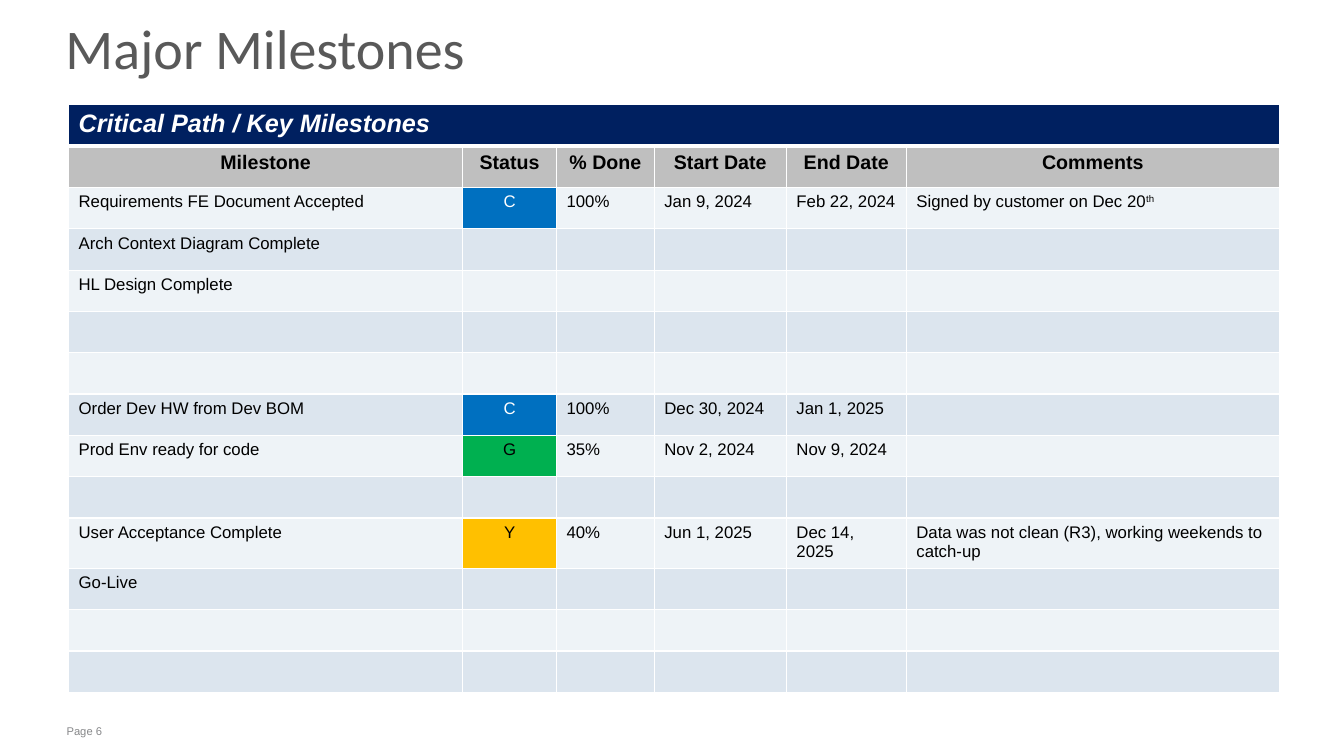
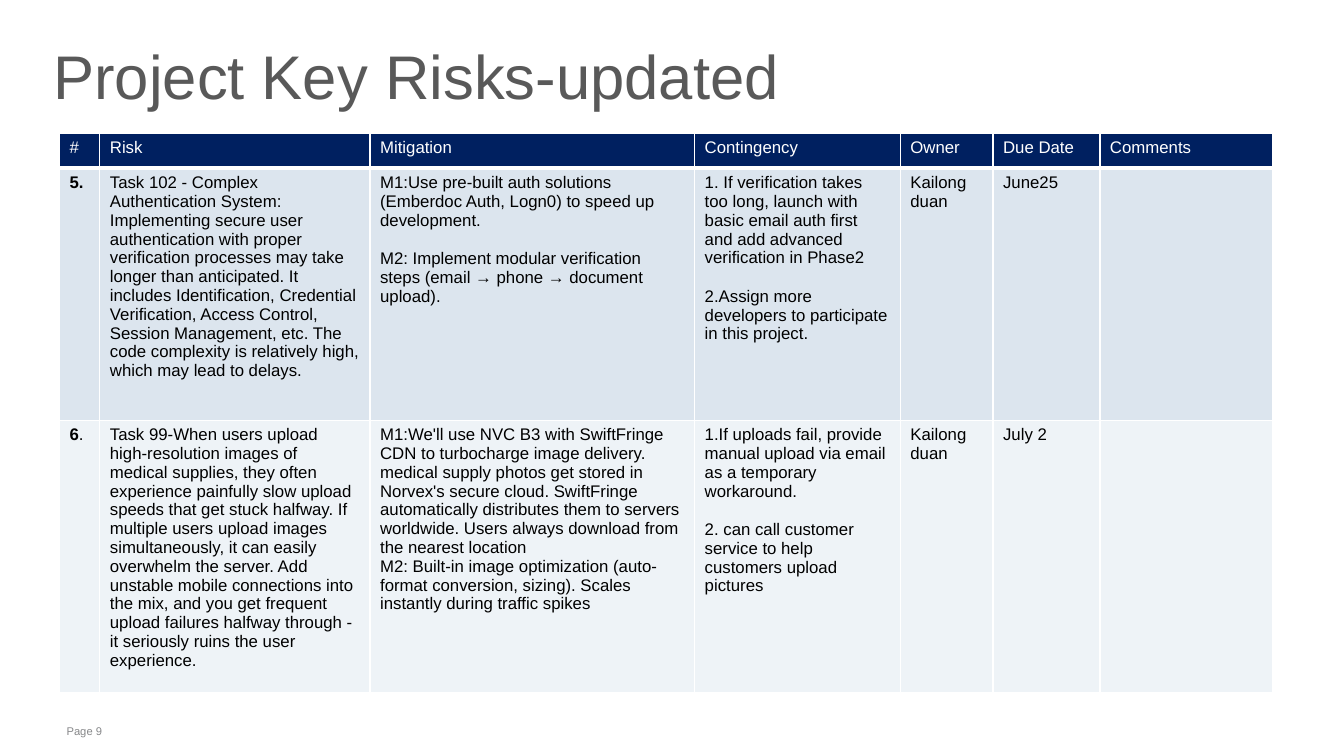
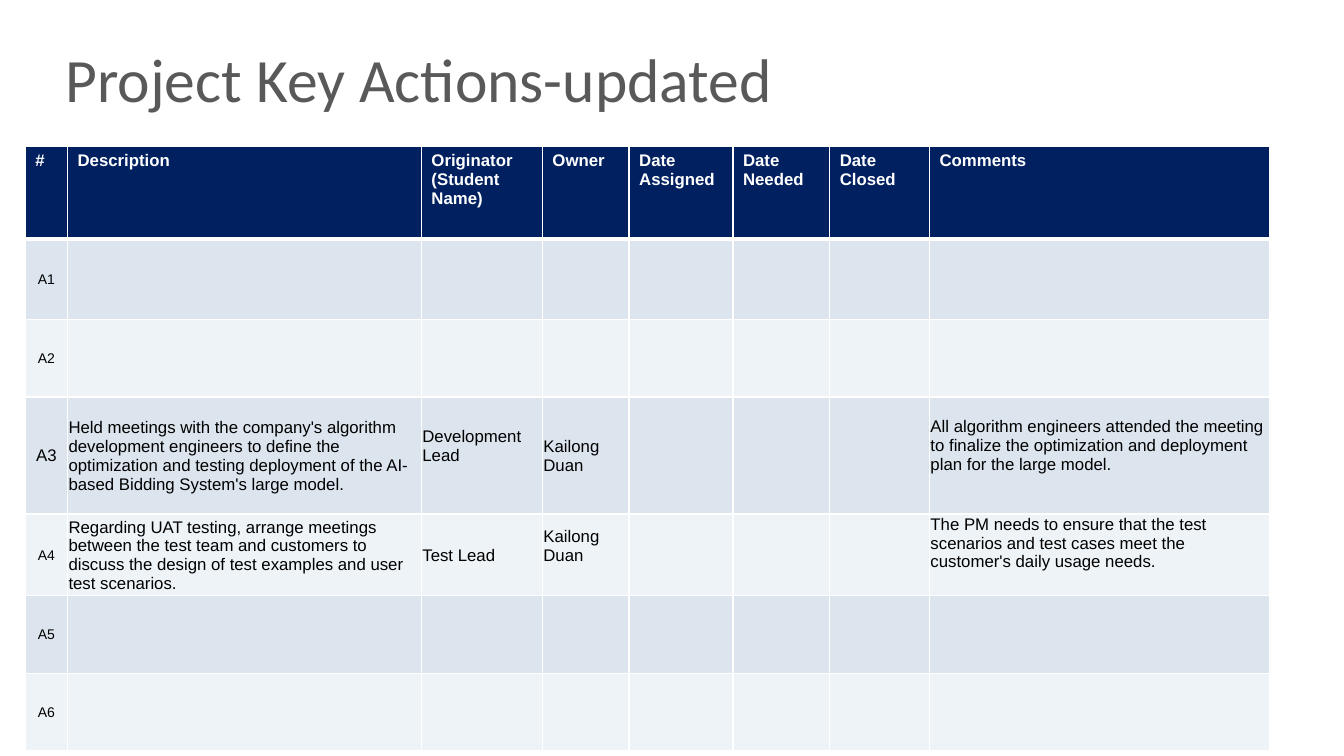
import dataclasses

import lxml.etree
import pptx
import pptx.dml.color
import pptx.enum.text
import pptx.oxml.ns
import pptx.util

Inches = pptx.util.Inches
Pt = pptx.util.Pt
Align = pptx.enum.text.PP_ALIGN
Anchor = pptx.enum.text.MSO_ANCHOR


@dataclasses.dataclass(frozen=True)
class Theme:
    navy: str = "002060"
    grey: str = "BFBFBF"
    bands: tuple = ("DCE5EE", "EEF3F7")
    white: str = "FFFFFF"
    black: str = "000000"
    head: str = "595959"
    foot: str = "87888A"
    blue: str = "0070C0"
    green: str = "00B050"
    amber: str = "FFC000"
    sans: str = "Arial"
    face: str = "Calibri"
    big: int = 44
    title: int = 40
    band: int = 18
    label: int = 14
    body: int = 12
    small: int = 10
    tiny: int = 8
    gap: int = 14


class Deck:
    def __init__(self, theme):
        self.theme = theme
        self.show = pptx.Presentation()
        self.show.slide_width = Inches(13.33)
        self.show.slide_height = Inches(7.5)
        self.slide = None

    def page(self):
        self.slide = self.show.slides.add_slide(self.show.slide_layouts[6])

    def style(self, frame, size, color, bold=False, face=None, align=None):
        for para in frame.paragraphs:
            if align is not None:
                para.alignment = align
            for run in para.runs:
                font = run.font
                font.name = face or self.theme.sans
                font.size = Pt(size)
                font.bold = bold
                font.color.rgb = pptx.dml.color.RGBColor.from_string(color)

    def text(self, words, at, size, color, face=None, pads=(0.1, 0.05)):
        box = self.slide.shapes.add_textbox(*map(Inches, at))
        frame = box.text_frame
        frame.word_wrap = True
        frame.margin_left = frame.margin_right = Inches(pads[0])
        frame.margin_top = frame.margin_bottom = Inches(pads[1])
        frame.text = words
        self.style(frame, size, color, face=face)
        return frame

    def title(self, words, at, size):
        frame = self.text(words, at, size, self.theme.head,
                          self.theme.face, (0.08, 0))
        frame.vertical_anchor = Anchor.MIDDLE
        frame.paragraphs[0].line_spacing = 0.75

    def footer(self, number):
        self.text(f"Page {number}", (0.58, 7.14, 10.79, 0.24),
                  self.theme.tiny, self.theme.foot, pads=(0.08, 0.05))

    def table(self, left, top, cols, rows, data):
        """Add a table with a navy first row and banded rows under it."""
        grid = self.slide.shapes.add_table(
            len(rows), len(cols), Inches(left), Inches(top),
            Inches(sum(cols)), Inches(sum(rows))).table
        for col, width in zip(grid.columns, cols):
            col.width = Inches(width)
        for row, height in zip(grid.rows, rows):
            row.height = Inches(height)
        for r, row in enumerate(grid.rows):
            words = data[r] if r < len(data) else ()
            for c, cell in enumerate(row.cells):
                cell.text_frame.text = words[c] if c < len(words) else ""
                tint = self.theme.bands[(r + 1) % 2] if r else self.theme.navy
                ink = self.theme.black if r else self.theme.white
                self.style(cell.text_frame, self.theme.body, ink)
                self.fill(cell, tint)
                self.edge(cell, top=3 if r == 1 else 1, base=1 if r else 3)
        return grid

    def fill(self, cell, color):
        cell.fill.solid()
        cell.fill.fore_color.rgb = pptx.dml.color.RGBColor.from_string(color)

    def edge(self, cell, top, base):
        """Draw white borders; top and base are widths in points."""
        qn = pptx.oxml.ns.qn
        props = cell._tc.get_or_add_tcPr()
        sides = (("L", 1), ("R", 1), ("T", top), ("B", base))
        for spot, (side, width) in enumerate(sides):
            line = lxml.etree.Element(qn(f"a:ln{side}"), w=str(Pt(width)))
            solid = lxml.etree.SubElement(line, qn("a:solidFill"))
            lxml.etree.SubElement(solid, qn("a:srgbClr"), val=self.theme.white)
            props.insert(spot, line)


def milestones(deck):
    theme = deck.theme
    deck.page()
    deck.footer(6)
    deck.title("Major Milestones", (0.57, 0.16, 11.76, 0.75), theme.title)
    data = (
        ("Critical Path / Key Milestones",),
        ("Milestone", "Status", "% Done", "Start Date", "End Date", "Comments"),
        ("Requirements FE Document Accepted", "C", "100%", "Jan 9, 2024",
         "Feb 22, 2024", "Signed by customer on Dec 20"),
        ("Arch Context Diagram Complete",),
        ("HL Design Complete",),
        (),
        (),
        ("Order Dev HW from Dev BOM", "C", "100%", "Dec 30, 2024",
         "Jan 1, 2025"),
        ("Prod Env ready for code", "G", "35%", "Nov 2, 2024", "Nov 9, 2024"),
        (),
        ("User Acceptance Complete", "Y", "40%", "Jun 1, 2025",
         "Dec 14, 2025", "Data was not clean (R3), working weekends to catch-up"),
        ("Go-Live",),
    )
    rows = [0.41] * 14
    rows[10] = 0.48
    grid = deck.table(0.68, 1.04, (3.91, 0.93, 0.97, 1.31, 1.19, 3.7),
                      rows, data)
    banner = grid.cell(0, 0)
    banner.merge(grid.cell(0, 5))
    deck.style(banner.text_frame, theme.band, theme.white, True)
    banner.text_frame.paragraphs[0].runs[0].font.italic = True
    for cell in grid.rows[1].cells:
        deck.fill(cell, theme.grey)
        deck.style(cell.text_frame, theme.label, theme.black, True,
                   align=Align.CENTER)
    marks = {"C": (theme.blue, theme.white), "G": (theme.green, theme.black),
             "Y": (theme.amber, theme.black)}
    for r in range(2, len(rows)):
        cell = grid.cell(r, 1)
        if cell.text_frame.text in marks:
            tint, ink = marks[cell.text_frame.text]
            deck.fill(cell, tint)
            deck.style(cell.text_frame, theme.body, ink, align=Align.CENTER)
    note = grid.cell(2, 5).text_frame
    power = note.paragraphs[0].add_run()
    power.text = "th"
    deck.style(note, theme.body, theme.black)
    power._r.get_or_add_rPr().set("baseline", "30000")


def risks(deck):
    theme = deck.theme
    deck.page()
    deck.footer(9)
    deck.text("Project Key Risks-updated", (0.43, 0.33, 11.68, 0.84),
              theme.big, theme.head)
    data = (
        ("#", "Risk", "Mitigation", "Contingency", "Owner", "Due Date",
         "Comments"),
        ("5.",
         "Task 102 - Complex Authentication System: Implementing secure user "
         "authentication with proper verification processes may take longer "
         "than anticipated. It includes Identification, Credential "
         "Verification, Access Control, Session Management, etc. The code "
         "complexity is relatively high, which may lead to delays.",
         "M1:Use pre-built auth solutions (Emberdoc Auth, Logn0) to speed up "
         "development.\n"
         "M2: Implement modular verification steps (email → phone → document "
         "upload).",
         "1. If verification takes too long, launch with basic email auth "
         "first and add advanced verification in Phase2\n"
         "2.Assign more developers to participate in this project.",
         "Kailong duan", "June25"),
        ("6",
         "Task 99-When users upload high-resolution images of medical "
         "supplies, they often experience painfully slow upload speeds that "
         "get stuck halfway. If multiple users upload images simultaneously, "
         "it can easily overwhelm the server. Add unstable mobile connections "
         "into the mix, and you get frequent upload failures halfway through "
         "- it seriously ruins the user experience.",
         "M1:We'll use NVC B3 with SwiftFringe CDN to turbocharge image "
         "delivery. medical supply photos get stored in Norvex's secure "
         "cloud. SwiftFringe automatically distributes them to servers "
         "worldwide. Users always download from the nearest location\n"
         "M2: Built-in image optimization (auto-format conversion, sizing). "
         "Scales instantly during traffic spikes",
         "1.If uploads fail, provide manual upload via email as a temporary "
         "workaround.\n"
         "2. can call customer service to help customers upload pictures",
         "Kailong duan", "July 2"),
    )
    grid = deck.table(0.59, 1.32, (0.4, 2.68, 3.22, 2.04, 0.92, 1.06, 1.71),
                      (0.35, 2.5, 2.7), data)
    for r in (1, 2):
        deck.style(grid.cell(r, 0).text_frame, theme.body, theme.black, True)
    dot = grid.cell(2, 0).text_frame.paragraphs[0].add_run()
    dot.text = "."
    dot.font.name = theme.sans
    dot.font.size = Pt(theme.body)
    dot.font.bold = False
    for r, c in ((1, 2), (1, 3), (2, 3)):
        para = grid.cell(r, c).text_frame.paragraphs[1]
        para.space_before = Pt(theme.gap)


def actions(deck):
    theme = deck.theme
    deck.page()
    deck.title("Project Key Actions-updated", (0.57, 0.26, 10.93, 1.19),
               theme.big)
    data = (
        ("#", "Description", "Originator\n(Student Name)", "Owner",
         "Date Assigned", "Date Needed", "Date Closed", "Comments"),
        ("A1",),
        ("A2",),
        ("A3",
         "Held meetings with the company's algorithm development engineers to "
         "define the optimization and testing deployment of the AI-based "
         "Bidding System's large model.",
         "Development Lead", "Kailong Duan", "", "", "",
         "All algorithm engineers attended the meeting to finalize the "
         "optimization and deployment plan for the large model."),
        ("A4",
         "Regarding UAT testing, arrange meetings between the test team and "
         "customers to discuss the design of test examples and user test "
         "scenarios.",
         "Test Lead", "Kailong Duan", "", "", "",
         "The PM needs to ensure that the test scenarios and test cases meet "
         "the customer's daily usage needs."),
        ("A5",),
        ("A6",),
    )
    grid = deck.table(0.25, 1.45,
                      (0.42, 3.51, 1.2, 0.86, 1.03, 0.96, 0.99, 3.37),
                      (0.92, 0.8, 0.77, 1.16, 0.76, 0.77, 0.77), data)
    for cell in grid.rows[0].cells:
        deck.style(cell.text_frame, theme.body, theme.white, True)
    last = len(grid.columns) - 1
    for r in range(1, len(data)):
        for c in range(last + 1):
            cell = grid.cell(r, c)
            cell.margin_left = cell.margin_right = Inches(0.01)
            cell.margin_top = Inches(0.01)
            cell.margin_bottom = 0
            if c < last:
                cell.vertical_anchor = Anchor.MIDDLE
        size = theme.body if r == 3 else theme.small
        deck.style(grid.cell(r, 0).text_frame, size, theme.black,
                   align=Align.CENTER)
    for r, c in ((3, 2), (4, 3)):
        grid.cell(r, c).margin_bottom = Inches(0.19)
    grid.cell(3, last).margin_top = Inches(0.2)


def main():
    deck = Deck(Theme())
    milestones(deck)
    risks(deck)
    actions(deck)
    deck.show.save("out.pptx")


if __name__ == "__main__":
    main()
